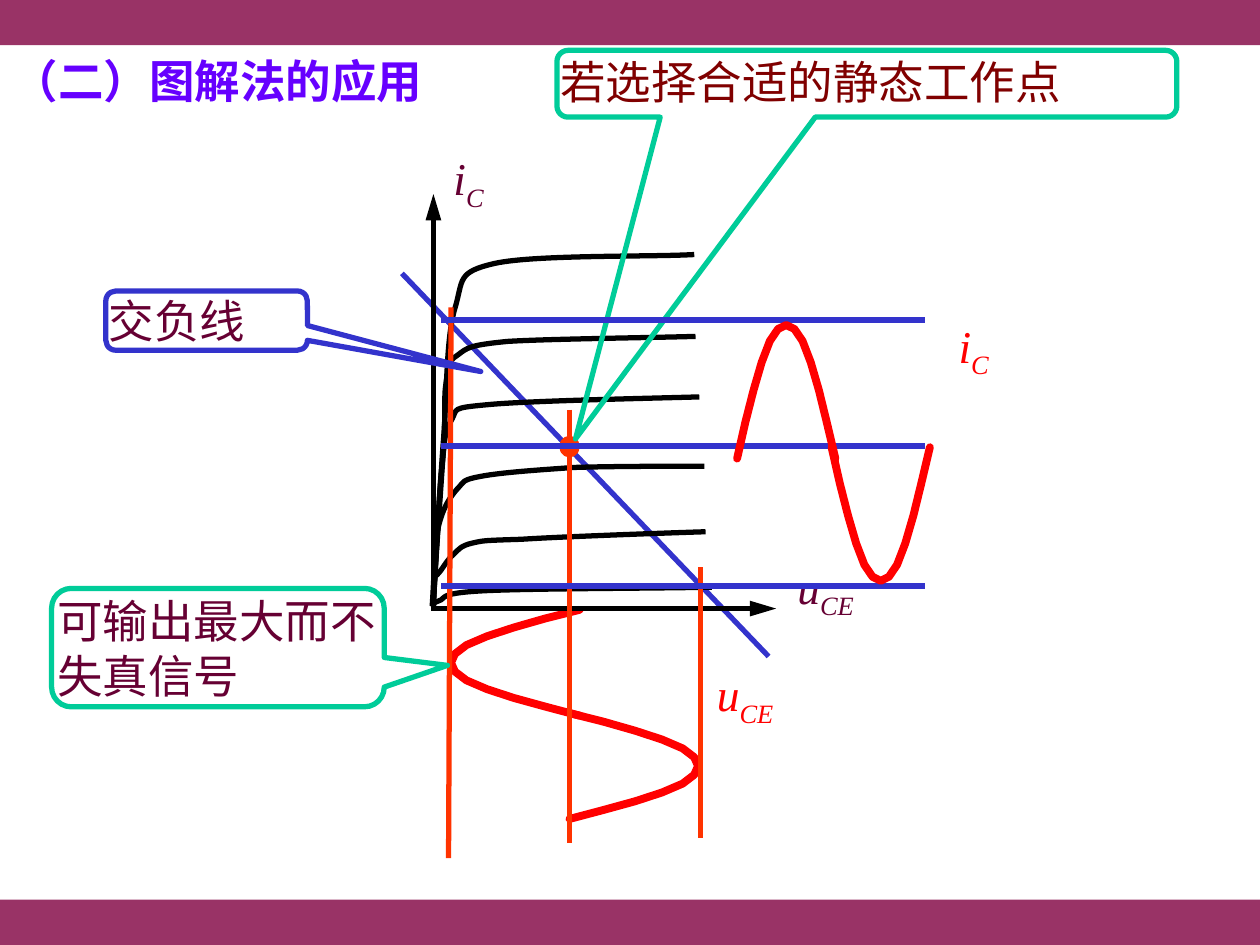
from lxml import etree
from pptx import Presentation
from pptx.dml.color import RGBColor
from pptx.enum.shapes import MSO_CONNECTOR, MSO_SHAPE
from pptx.enum.text import MSO_ANCHOR, PP_ALIGN
from pptx.oxml.ns import qn
from pptx.util import Inches, Pt

STRAIGHT = MSO_CONNECTOR.STRAIGHT
RECTANGLE, OVAL = MSO_SHAPE.RECTANGLE, MSO_SHAPE.OVAL
CALLOUT = MSO_SHAPE.ROUNDED_RECTANGULAR_CALLOUT
TOP, MIDDLE = MSO_ANCHOR.TOP, MSO_ANCHOR.MIDDLE
LEFT = PP_ALIGN.LEFT

BLACK, RED, ORANGE, BLUE = "000000", "FF0000", "FF3300", "3333CC"
GREEN, PLUM, MAROON, VIOLET, BAND = "00CC99", "660033", "800000", "6600FF", "993366"

HALF_WAVE = [0, 0.27, 0.51, 0.72, 0.88, 0.97, 1, 0.97, 0.88, 0.72, 0.51, 0.26, 0]

OUTPUT_CURVES = [
    [(3.44, 4.81), (3.44, 4.81), (3.42, 4.79), (3.48, 4.77), (3.55, 4.75), (3.46, 4.71),
     (3.82, 4.69), (4.18, 4.67), (5.27, 4.67), (5.65, 4.66)],
    [(3.44, 4.81), (3.44, 4.78), (3.44, 4.64), (3.45, 4.59), (3.46, 4.55), (3.46, 4.58),
     (3.48, 4.55), (3.51, 4.52), (3.55, 4.44), (3.6, 4.4), (3.64, 4.36), (3.66, 4.33),
     (3.75, 4.31), (3.84, 4.29), (3.83, 4.29), (4.14, 4.28), (4.44, 4.26), (5.29, 4.23),
     (5.6, 4.22)],
    [(3.43, 4.81), (3.44, 4.71), (3.45, 4.33), (3.48, 4.18), (3.52, 4.02), (3.57, 3.95),
     (3.63, 3.88), (3.69, 3.82), (3.66, 3.81), (3.82, 3.78), (3.98, 3.75), (4.27, 3.73),
     (4.56, 3.71), (4.86, 3.7), (5.37, 3.7), (5.59, 3.7)],
    [(3.44, 4.77), (3.45, 4.6), (3.48, 4.01), (3.5, 3.77), (3.53, 3.53), (3.52, 3.43),
     (3.58, 3.34), (3.64, 3.24), (3.56, 3.24), (3.89, 3.21), (4.22, 3.18), (5.21, 3.16),
     (5.55, 3.15)],
    [(3.44, 4.77), (3.45, 4.57), (3.5, 3.85), (3.52, 3.56), (3.54, 3.27), (3.52, 3.16),
     (3.54, 3.04), (3.56, 2.91), (3.55, 2.87), (3.63, 2.82), (3.71, 2.76), (3.72, 2.74),
     (4.03, 2.71), (4.35, 2.69), (5.21, 2.68), (5.52, 2.67)],
    [(3.44, 4.81), (3.45, 4.59), (3.49, 3.88), (3.52, 3.49), (3.55, 3.09), (3.54, 2.69),
     (3.61, 2.45), (3.68, 2.22), (3.62, 2.16), (3.93, 2.09), (4.25, 2.02), (5.18, 2.04),
     (5.51, 2.02)],
]


def color(value):
    """Return the colour for a hex string."""
    return RGBColor.from_string(value)


def set_line(shape, value, width=3):
    """Give a shape or connector a solid line."""
    shape.line.color.rgb = color(value)
    shape.line.width = Pt(width)


def write_text(shape, text, value, subscript="", anchor=MIDDLE, margins=(0.1, 0.05)):
    """Write one left-aligned paragraph with an optional italic subscript."""
    frame = shape.text_frame
    frame.word_wrap = True
    frame.vertical_anchor = anchor
    frame.margin_left = frame.margin_right = Inches(margins[0])
    frame.margin_top = frame.margin_bottom = Inches(margins[1])
    paragraph = frame.paragraphs[0]
    paragraph.alignment = LEFT
    paragraph.space_before = Pt(0)
    paragraph.add_run().text = text
    if subscript:
        run = paragraph.add_run()
        run.text = subscript
        run._r.get_or_add_rPr().set("baseline", "-25000")
    font = paragraph.font
    font.name = "Times New Roman"
    font.size = Pt(26)
    font.italic = bool(subscript)
    font.color.rgb = color(value)
    return paragraph


def add_title(slide, text):
    """Fill the title placeholder."""
    title = slide.shapes.title
    title.left, title.top = Inches(0), Inches(0.37)
    title.width, title.height = Inches(5.29), Inches(0.54)
    write_text(title, text, VIOLET, anchor=TOP).font.bold = True


def add_filled(slide, kind, box, value):
    """Add a solid preset shape without text."""
    shape = slide.shapes.add_shape(kind, *map(Inches, box))
    shape.shadow.inherit = False
    shape.fill.solid()
    shape.fill.fore_color.rgb = color(value)
    shape.line.fill.background()
    return shape


def add_line(slide, start, end, value, arrow=False):
    """Add a straight line, with an arrowhead at its end if wanted."""
    connector = slide.shapes.add_connector(STRAIGHT, *map(Inches, (*start, *end)))
    set_line(connector, value)
    properties = connector._element.spPr
    if arrow:
        etree.SubElement(properties.find(qn("a:ln")), qn("a:tailEnd"), type="triangle", len="lg")
    etree.SubElement(properties, qn("a:effectLst"))


def add_outline(slide, points, value, width):
    """Add an open, unfilled outline through the points."""
    vertices = [(Inches(x), Inches(y)) for x, y in points]
    builder = slide.shapes.build_freeform(*vertices[0])
    builder.add_line_segments(vertices[1:], close=False)
    shape = builder.convert_to_shape()
    shape.shadow.inherit = False
    shape.fill.background()
    set_line(shape, value, width)
    return shape


def add_curve(slide, controls):
    """Add a chain of cubic Bezier segments."""
    shape = add_outline(slide, controls, BLACK, 3)
    segments = list(shape._element.iter(qn("a:lnTo")))
    outline = segments[0].getparent()
    for index in range(0, len(segments), 3):
        curve = etree.SubElement(outline, qn("a:cubicBezTo"))
        for segment in segments[index:index + 3]:
            curve.append(segment[0])
            outline.remove(segment)


def add_half_wave(slide, start, length, swing, vertical=False):
    """Add half a sine wave running along either axis."""
    x, y = start
    points = []
    for index, height in enumerate(HALF_WAVE):
        along, across = length * index / (len(HALF_WAVE) - 1), swing * height
        points.append((x + across, y + along) if vertical else (x + along, y + across))
    shape = add_outline(slide, points, RED, 4.5)
    shape._element.spPr.find(qn("a:ln")).set("cap", "rnd")


def add_label(slide, box, symbol, subscript, value, **layout):
    """Add a quantity symbol with its subscript."""
    shape = slide.shapes.add_textbox(*map(Inches, box))
    write_text(shape, symbol, value, subscript, **layout)


def add_callout(slide, box, pointer, text, line, value, anchor=MIDDLE):
    """Add an unfilled callout whose tip is given relative to its centre."""
    shape = slide.shapes.add_shape(CALLOUT, *map(Inches, box))
    shape.shadow.inherit = False
    shape.adjustments[0], shape.adjustments[1] = pointer
    shape.fill.background()
    set_line(shape, line)
    write_text(shape, text, value, anchor=anchor, margins=(0, 0))


def main():
    """Build the slide and save it."""
    presentation = Presentation()
    presentation.slide_width, presentation.slide_height = Inches(10), Inches(7.5)
    slide = presentation.slides.add_slide(presentation.slide_layouts[5])
    for top in (0, 7.14):
        add_filled(slide, RECTANGLE, (0, top, 10, 0.36), BAND)
    add_title(slide, "（二）图解法的应用")

    add_half_wave(slide, (4.6, 4.84), 0.84, -1.02, vertical=True)
    add_half_wave(slide, (4.52, 5.66), 0.84, 1.02, vertical=True)
    add_line(slide, (3.19, 2.17), (6.1, 5.21), BLUE)
    add_label(slide, (3.5, 1.14, 2, 0.6), "i", "C", PLUM)
    add_label(slide, (6.23, 4.38, 0.8, 0.6), "u", "CE", PLUM)
    add_line(slide, (3.42, 4.83), (6.16, 4.83), BLACK, arrow=True)
    add_line(slide, (3.44, 4.83), (3.44, 1.54), BLACK, arrow=True)
    for controls in OUTPUT_CURVES:
        add_curve(slide, controls)
    set_line(add_filled(slide, OVAL, (4.46, 3.48, 0.12, 0.13), ORANGE), ORANGE)
    for start, end in (((4.52, 3.25), (4.52, 6.69)), ((3.58, 2.44), (3.56, 6.81)),
                       ((5.56, 4.5), (5.56, 6.65))):
        add_line(slide, start, end, ORANGE)
    add_label(slide, (5.69, 5.29, 0.6, 0.49), "u", "CE", RED, margins=(0, 0))

    add_callout(slide, (0.41, 4.67, 2.64, 0.94), (0.69, 0.15),
                "可输出最大而不失真信号", GREEN, PLUM)
    add_callout(slide, (4.42, 0.4, 4.92, 0.53), (-0.47, 5.32),
                "若选择合适的静态工作点", GREEN, MAROON, TOP)
    for y in (2.54, 4.65, 3.54):
        add_line(slide, (3.5, y), (7.34, y), BLUE)
    add_half_wave(slide, (5.85, 3.64), 0.78, -1.06)
    add_half_wave(slide, (6.6, 3.55), 0.78, 1.06)
    add_label(slide, (7.51, 2.47, 0.5, 0.6), "i", "C", RED)
    add_callout(slide, (0.84, 2.31, 1.6, 0.47), (1.36, 0.86), "交负线", BLUE, PLUM)
    presentation.save("out.pptx")


if __name__ == "__main__":
    main()
